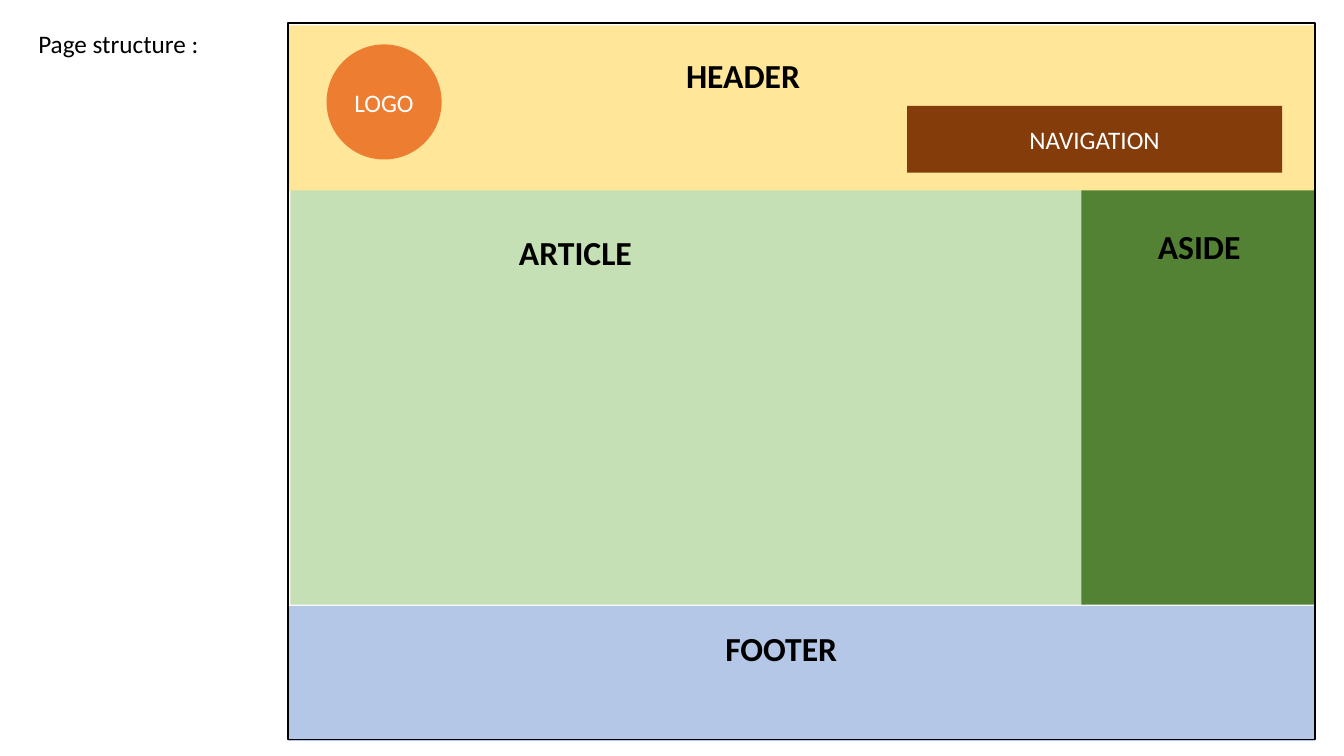
from dataclasses import dataclass

from pptx import Presentation
from pptx import util as u
from pptx.dml.color import RGBColor
from pptx.enum import shapes, text


@dataclass(frozen=True)
class Theme:
    font: str = "Calibri"
    body_size: int = 18
    heading_size: int = 24
    black: str = "000000"
    white: str = "FFFFFF"
    header: str = "FFE699"
    logo: str = "ED7D31"
    navigation: str = "843C0B"
    article: str = "C5E0B4"
    aside: str = "548235"
    footer: str = "B4C7E7"


THEME = Theme()
PAGE_LEFT, PAGE_WIDTH = 7.26, 25.88
BODY_TOP, BODY_HEIGHT = 4.8, 10.44


def cm(*lengths):
    return [u.Cm(length) for length in lengths]


def write(shape, words, size=THEME.body_size, color=THEME.black, bold=False,
          align=text.PP_ALIGN.LEFT, anchor=text.MSO_ANCHOR.TOP, wrap=False,
          fit=text.MSO_AUTO_SIZE.SHAPE_TO_FIT_TEXT):
    frame = shape.text_frame
    frame.text = words
    frame.word_wrap = wrap
    frame.auto_size = fit
    frame.vertical_anchor = anchor
    paragraph = frame.paragraphs[0]
    paragraph.alignment = align
    paragraph.line_spacing = 1.0
    paragraph.space_before = u.Pt(0)
    font = paragraph.runs[0].font
    font.name = THEME.font
    font.size = u.Pt(size)
    font.bold = bold
    font.color.rgb = RGBColor.from_string(color)


def add_title(slide, words, left, top, width, height):
    title = slide.shapes.title
    title.left, title.top, title.width, title.height = cm(left, top, width, height)
    write(title, words)


def add_block(slide, box, fill=None, line=None, label=None,
              kind=shapes.MSO_SHAPE.RECTANGLE):
    block = slide.shapes.add_shape(kind, *cm(*box))
    block.shadow.inherit = False
    if fill:
        block.fill.solid()
        block.fill.fore_color.rgb = RGBColor.from_string(fill)
    else:
        block.fill.background()
    if line:
        block.line.color.rgb = RGBColor.from_string(line)
        block.line.width = u.Pt(1)
    else:
        block.line.fill.background()
    if label:
        write(block, label, color=THEME.white, align=text.PP_ALIGN.CENTER,
              anchor=text.MSO_ANCHOR.MIDDLE, wrap=True,
              fit=text.MSO_AUTO_SIZE.NONE)


def add_heading(slide, words, left, top, width):
    heading = slide.shapes.add_textbox(*cm(left, top, width, 1.27))
    write(heading, words, size=THEME.heading_size, bold=True)


def main():
    presentation = Presentation()
    presentation.slide_width, presentation.slide_height = cm(33.87, 19.05)
    slide = presentation.slides.add_slide(presentation.slide_layouts[5])

    add_title(slide, "Page structure :", 0.71, 0.58, 4.6, 1.02)

    add_block(slide, (PAGE_LEFT, 0.64, PAGE_WIDTH, 4.17), THEME.header)
    add_heading(slide, "HEADER", 17.04, 1.27, 3.4)
    add_block(slide, (8.23, 1.12, 2.9, 2.9), THEME.logo, label="LOGO",
              kind=shapes.MSO_SHAPE.OVAL)
    add_block(slide, (22.86, 2.67, 9.45, 1.68), THEME.navigation,
              label="NAVIGATION")

    add_block(slide, (PAGE_LEFT, 15.27, PAGE_WIDTH, 3.4), THEME.footer)
    add_heading(slide, "FOOTER", 18.03, 15.7, 3.35)

    add_block(slide, (7.32, BODY_TOP, 20.02, BODY_HEIGHT), THEME.article)
    add_heading(slide, "ARTICLE", 12.83, 5.72, 3.38)

    add_block(slide, (27.25, BODY_TOP, 5.89, BODY_HEIGHT), THEME.aside)
    add_heading(slide, "ASIDE", 28.93, 5.56, 2.62)

    add_block(slide, (PAGE_LEFT, 0.58, PAGE_WIDTH, 18.06), line=THEME.black)

    presentation.save("out.pptx")


if __name__ == "__main__":
    main()
